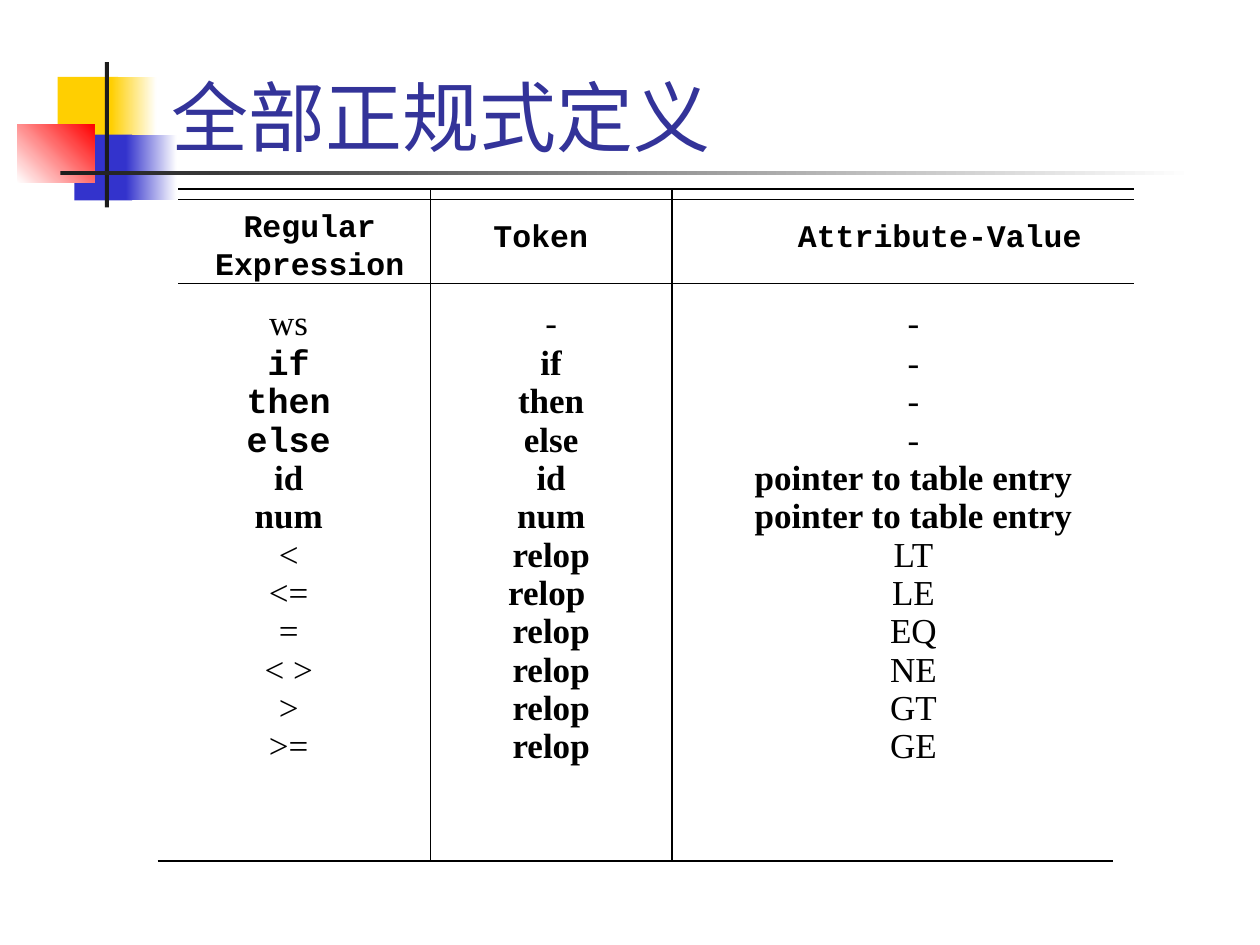
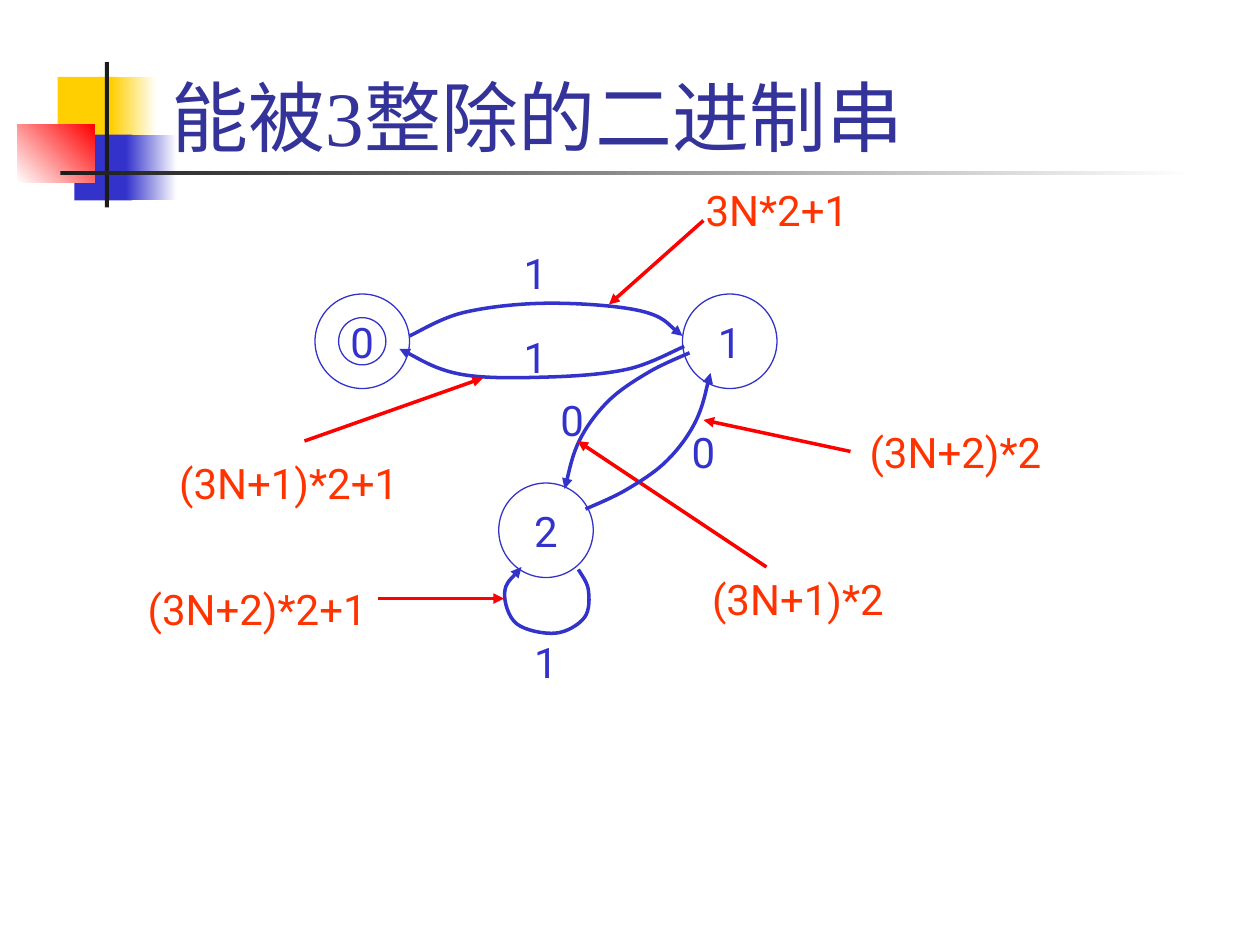
from lxml.etree import SubElement
from pptx import Presentation
from pptx.dml.color import RGBColor
from pptx.enum.shapes import MSO_CONNECTOR, MSO_SHAPE
from pptx.enum.text import MSO_ANCHOR, MSO_AUTO_SIZE, PP_ALIGN
from pptx.oxml.ns import qn
from pptx.util import Pt

TIMES, COURIER, ROBOTO = "Times New Roman", "Courier New", "Roboto"
BLACK, WHITE, INK = "000000", "FFFFFF", "1C1C1C"
YELLOW, BLUE, RED, TITLE_BLUE, ORANGE = "FFCF01", "3333CC", "FF0000", "333399", "FF3300"


# Shared helpers
def rgb(hex_color):
    return RGBColor.from_string(hex_color)


def write(p, text, size, font, color, bold=False, align=PP_ALIGN.CENTER):
    p.text = text
    p.alignment = align
    p.font.size = Pt(size)
    p.font.name = font
    p.font.bold = bold
    p.font.color.rgb = rgb(color)


def add_text_frame(shapes, x, y, w, h):
    tf = shapes.add_textbox(Pt(x), Pt(y), Pt(w), Pt(h)).text_frame
    tf.word_wrap = True
    tf.auto_size = MSO_AUTO_SIZE.SHAPE_TO_FIT_TEXT
    return tf


def set_line(shape, color, width, arrow=False):
    shape.line.color.rgb = rgb(color)
    shape.line.width = Pt(width)
    spPr = shape.element.spPr
    if arrow:
        SubElement(spPr.find(qn("a:ln")), qn("a:tailEnd"), type="triangle")
    SubElement(spPr, qn("a:effectLst"))


def add_line(shapes, x1, y1, x2, y2, color, width, arrow=False):
    line = shapes.add_connector(MSO_CONNECTOR.STRAIGHT, Pt(x1), Pt(y1), Pt(x2), Pt(y2))
    set_line(line, color, width, arrow)


def add_curve(shapes, points, color, width):
    """Smooth arrow through the points: each tangent follows its two neighbours."""
    ends = [points[0], *points, points[-1]]
    controls = []
    for (ax, ay), (bx, by), (cx, cy), (dx, dy) in zip(ends, ends[1:], ends[2:], ends[3:]):
        controls += [(bx + (cx - ax) / 6, by + (cy - ay) / 6),
                     (cx - (dx - bx) / 6, cy - (dy - by) / 6), (cx, cy)]
    builder = shapes.build_freeform(Pt(points[0][0]), Pt(points[0][1]))
    builder.add_line_segments([(Pt(x), Pt(y)) for x, y in controls], close=False)
    curve = builder.convert_to_shape()
    curve.fill.background()
    set_line(curve, color, width, arrow=True)
    # Every three straight segments become one Bezier segment
    outline = curve.element.find(".//" + qn("a:path"))
    segments = outline.findall(qn("a:lnTo"))
    for i in range(0, len(segments), 3):
        bezier = SubElement(outline, qn("a:cubicBezTo"))
        for segment in segments[i:i + 3]:
            bezier.append(segment[0])
            outline.remove(segment)


# Template: coloured blocks and rules, drawn once and moved to the layout
BLOCKS = [  # x, y, w, h, colours, angle
    (33, 44, 34.5, 37.5, [YELLOW], 0),
    (63.5, 44, 26, 37.5, [YELLOW, WHITE], 0),
    (42.5, 77, 33, 37.5, [BLUE], 0),
    (72, 77, 29, 37.5, [BLUE, WHITE], 0),
    (10, 71, 44, 33.5, [WHITE, RED], 45),
    (60, 35.5, 2.2, 83, [INK], 0),
    (34.5, 97.7, 648, 2.4, [INK, WHITE], 0),
]


def decorate_layout(layout, s):
    for i, (x, y, w, h, colors, angle) in enumerate(BLOCKS):
        block = s.shapes.add_shape(MSO_SHAPE.RECTANGLE, Pt(x), Pt(y), Pt(w), Pt(h))
        block.shadow.inherit = False
        block.line.fill.background()
        if len(colors) == 1:
            block.fill.solid()
            block.fill.fore_color.rgb = rgb(colors[0])
        else:
            block.fill.gradient()
            block.fill.gradient_angle = angle
            for stop, color in zip(block.fill.gradient_stops, colors):
                stop.color.rgb = rgb(color)
        block.element.nvSpPr.cNvPr.set("id", str(100 + i))
        layout.shapes.element.insert(2 + i, block.element)


def add_titled_slide(prs, layout, title):
    s = prs.slides.add_slide(layout)
    sp = s.shapes.title
    sp.left, sp.top, sp.width, sp.height = Pt(91), Pt(6), Pt(613), Pt(90)
    tf = sp.text_frame
    tf.vertical_anchor = MSO_ANCHOR.BOTTOM
    tf.auto_size = MSO_AUTO_SIZE.NONE
    write(tf.paragraphs[0], title, 44, TIMES, TITLE_BLUE, align=PP_ALIGN.LEFT)
    return s


# Slide 1: ruled table of regular definitions
HEADERS = [  # x, y, w, text
    (0, 6, 150, "Regular Expression"),
    (132, 12, 150, "Token"),
    (324, 12, 222, "Attribute-Value"),
]
COLUMNS = [  # x, w, runs of entries that share font and weight
    (30, 66, [(TIMES, False, ["ws"]),
              (COURIER, True, ["if", "then", "else"]),
              (TIMES, True, ["id", "num"]),
              (TIMES, False, ["<", "<=", "=", "< >", ">", ">="])]),
    (180, 66, [(TIMES, False, ["-"]),
               (TIMES, True, ["if", "then", "else", "id", "num", "relop", "relop ",
                              "relop", "relop", "relop", "relop"])]),
    (288, 264, [(TIMES, False, ["-"] * 4),
                (TIMES, True, ["pointer to table entry"] * 2),
                (TIMES, False, ["LT", "LE", "EQ", "NE", "GT", "GE"])]),
]


def add_entries(shapes, x, y, w, runs):
    tf = add_text_frame(shapes, x, y, w, 272)
    entries = [(text, font, bold) for font, bold, texts in runs for text in texts]
    for i, (text, font, bold) in enumerate(entries):
        p = tf.add_paragraph() if i else tf.paragraphs[0]
        write(p, text, 20, font, BLACK, bold)
        p.space_before = Pt(7.5)
        if i:
            p.line_spacing = 0.6


def add_definitions(s, x, y, w, h):
    shapes = s.shapes.add_group_shape().shapes
    for dx, dy in [(0, 0), (0, 6), (0, 54), (-12, h)]:
        add_line(shapes, x + dx, y + dy, x + dx + w, y + dy, BLACK, 1)
    for dx in (144, 282):
        add_line(shapes, x + dx, y, x + dx, y + h, BLACK, 1)
    for dx, dy, width, text in HEADERS:
        tf = add_text_frame(shapes, x + dx, y + dy, width, 29)
        write(tf.paragraphs[0], text, 18, COURIER, BLACK, bold=True)
    for dx, width, runs in COLUMNS:
        add_entries(shapes, x + dx, y + 60, width, runs)


# Slide 2: automaton for binary strings divisible by 3
STATES = [  # x, y, shape, name
    (324, 66, MSO_SHAPE.OVAL, "1"),
    (219, 174, MSO_SHAPE.OVAL, "2"),
    (114, 66, MSO_SHAPE.DONUT, "0"),
]
ONE_TO_TWO = [(328, 99.6), (304.8, 110.6), (281.8, 127), (265.2, 149.5), (256.6, 177.4)]
TWO_TO_ONE = [(596.6 - x, 288.5 - y) for x, y in ONE_TO_TWO]  # half a turn
TRANSITIONS = [  # curve, input and its place, remark and its box, pointer from and to
    ([(168, 90), (199, 76.6), (247.2, 71.3), (300.5, 75.8), (324, 90)],
     "1", (216, 36), "3N*2+1", (324, 0, 108), (336, 24), (282, 72)),
    (ONE_TO_TWO, "0", (237, 120), "(3N+1)*2", (324, 222, 132), (372, 222), (264, 150)),
    ([(325, 96), (292.6, 109), (246.5, 113.5), (196.8, 111.8), (162.2, 97.4)],
     "1", (216, 84), "(3N+1)*2+1", (18, 156, 162), (108, 150), (210, 114)),
    (TWO_TO_ONE, "0", (312, 138), "(3N+2)*2", (414, 138, 132), (420, 156), (336, 138)),
    ([(264.5, 223.4), (270.2, 235), (268, 250.8), (251.5, 259.8), (229.2, 254.4),
      (222.4, 236.4), (232, 222)],
     "1", (222, 258), "(3N+2)*2+1", (0, 228, 162), (150, 240), (222, 240)),
]


def add_state(shapes, x, y, kind, name):
    state = shapes.add_shape(kind, Pt(x), Pt(y), Pt(54), Pt(54))
    state.fill.background()
    set_line(state, BLUE, 0.75)
    tf = state.text_frame
    tf.word_wrap = False
    tf.vertical_anchor = MSO_ANCHOR.MIDDLE
    write(tf.paragraphs[0], name, 24, ROBOTO, BLUE)


def add_label(shapes, x, y, w, text, color):
    tf = add_text_frame(shapes, x, y, w, 36)
    write(tf.paragraphs[0], text, 24, ROBOTO, color)


def add_automaton(s, x, y):
    states = s.shapes.add_group_shape().shapes
    for dx, dy, kind, name in STATES:
        add_state(states, x + dx, y + dy, kind, name)
    for curve, symbol, (sx, sy), remark, (rx, ry, rw), (x1, y1), (x2, y2) in TRANSITIONS:
        shapes = s.shapes.add_group_shape().shapes
        add_curve(shapes, [(x + dx, y + dy) for dx, dy in curve], BLUE, 2)
        add_label(shapes, x + sx, y + sy, 48, symbol, BLUE)
        add_label(shapes, x + rx, y + ry, rw, remark, ORANGE)
        add_line(shapes, x + x1, y + y1, x + x2, y + y2, RED, 2, arrow=True)


def main():
    prs = Presentation()
    prs.slide_width, prs.slide_height = Pt(720), Pt(540)
    layout = prs.slide_layouts.get_by_name("Title Only")

    s = add_titled_slide(prs, layout, "全部正规式定义")
    decorate_layout(layout, s)
    add_definitions(s, 102, 108, 546, 384)

    s = add_titled_slide(prs, layout, "能被3整除的二进制串")
    add_automaton(s, 66, 102)

    prs.save("out.pptx")


if __name__ == "__main__":
    main()
